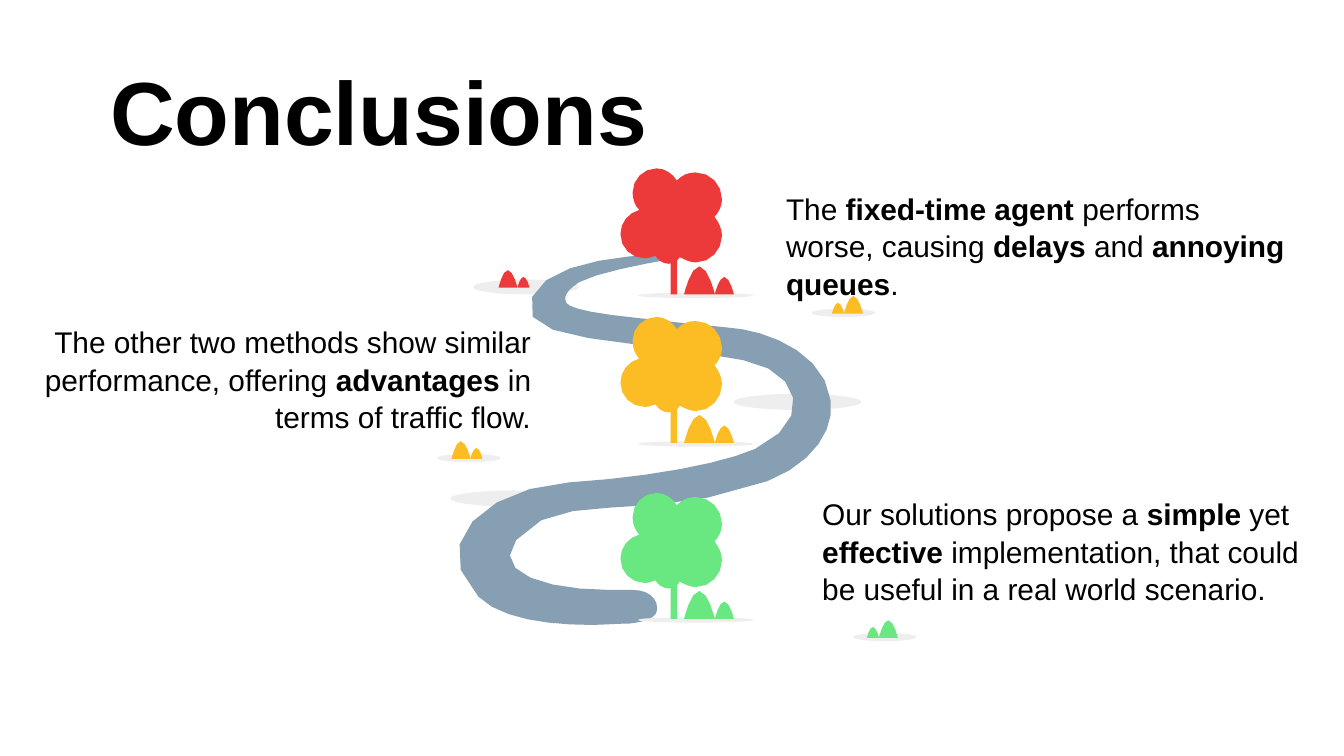
from pptx import Presentation
from pptx.dml.color import RGBColor
from pptx.enum import shapes, text
from pptx.util import Pt

COLORS = {"red": "EC3A3B", "amber": "FCBD24", "green": "69E781",
          "road": "869FB2", "shade": "EEEEEE", "ink": "000000"}

HILL = [(1, 1),
        (1, 1), (0.8, 0.04), (0.5, 0),
        (0.21, 0), (0, 1), (0, 1)]

CROWN = [(54.4, 16.6),
         (54.4, 8.6), (48.2, 2.2), (40.3, 2.2),
         (36, 2.2), (33.1, 3.6), (30.2, 6.5),
         (28.1, 2.9), (23.8, 0), (19.4, 0),
         (12.2, 0), (6.5, 5.8), (6.5, 13),
         (6.5, 16.6), (7.9, 20.2), (10.1, 22.3),
         (4.3, 23.8), (0, 28.8), (0, 35.3),
         (0, 42.5), (5.8, 48.2), (13, 48.2),
         (15.1, 48.2), (16.6, 47.5), (18.7, 46.8),
         (20.2, 49), (22.3, 51.1), (25.9, 51.1),
         (28.1, 51.1), (31, 49.7), (31.7, 47.5),
         (34.6, 49), (37.4, 50.4), (40.3, 50.4),
         (48.2, 50.4), (54.4, 43.9), (54.4, 36),
         (54.4, 32.4), (52.6, 28.8), (50.4, 25.9),
         (52.6, 23.8), (54.4, 20.2), (54.4, 16.6)]

ROAD = [(364.3, 136.1),
        (344.9, 136.1), (293.8, 138.2), (285.1, 159.1),
        (273.6, 185), (339.1, 180.7), (398.2, 193),
        (429.1, 198.7), (436.3, 225.4), (404.6, 240.5),
        (386.6, 248.4), (348.5, 255.6), (304.6, 258.5),
        (260.6, 261.4), (227.5, 290.9), (256.3, 319.7),
        (268.6, 331.9), (294.5, 334.8), (316.1, 334.8),
        (323.3, 334.8), (331.2, 334.1), (337, 334.1),
        (343.4, 333.4), (352.1, 331.9), (352.1, 326.2),
        (352.1, 319.7), (346.3, 316.1), (339.1, 316.1),
        (337, 316.1), (330, 316.1), (326.9, 316.1),
        (293.8, 316.1), (262.8, 307.4), (276.5, 289.4),
        (300.2, 260.6), (343.4, 282.2), (411.1, 257.8),
        (437, 247.7), (447.1, 229), (445, 214.6),
        (442.1, 190.8), (415.4, 179.3), (397.4, 176.4),
        (379.4, 174.2), (381.6, 175), (343.4, 170.6),
        (306.7, 167), (303.1, 163.4), (303.1, 161.3),
        (302.4, 159.8), (302.4, 156.2), (310.3, 151.2),
        (323.3, 144), (372.2, 136.8), (372.2, 136.8)]

prs = Presentation()
prs.slide_width, prs.slide_height = Pt(720), Pt(405)
slide = prs.slides.add_slide(prs.slide_layouts[5])


def paint(shape, color):
    shape.shadow.inherit = False
    shape.fill.solid()
    shape.fill.fore_color.rgb = RGBColor.from_string(COLORS[color])
    shape.line.fill.background()


def outline(curve, color, left=0, top=0, width=1, height=1, steps=4):
    spots = [(100 * (left + x * width), 100 * (top + y * height)) for x, y in curve]
    track = []
    for i in range(0, len(spots) - 1, 3):
        for step in range(1, steps + 1):
            t = step / steps
            weights = ((1 - t) ** 3, 3 * t * (1 - t) ** 2, 3 * t * t * (1 - t), t ** 3)
            track.append(tuple(sum(w * spot[axis] for w, spot in zip(weights, spots[i:i + 4]))
                               for axis in (0, 1)))
    builder = slide.shapes.build_freeform(*spots[0], scale=Pt(1) / 100)
    builder.add_line_segments(track, close=True)
    paint(builder.convert_to_shape(), color)


OVAL = shapes.MSO_SHAPE.OVAL
for left, top in [(393.1, 211), (241.2, 262.8)]:
    paint(slide.shapes.add_shape(OVAL, Pt(left), Pt(top), Pt(68.4), Pt(8.6)), "shade")

bushes = [("red", 253.4, 149.8, 56.9, 7.9, 267.1, 277.2),
          ("amber", 234.2, 243.2, 34, 4.4, 241.9, 252),
          ("amber", 434.9, 165.4, 34, 4.4, 452.2, 445.7),
          ("green", 457, 339.1, 34, 4.4, 470.9, 464.4)]
for color, left, top, width, height, big, small in bushes:
    base = top + height / 2 + 0.4
    paint(slide.shapes.add_shape(OVAL, Pt(left), Pt(top), Pt(width), Pt(height)), "shade")
    outline(HILL, color, big, base - 9.4, 10.1, 9.4)
    outline(HILL, color, small, base - 5.8, 6.5, 5.8)

outline(ROAD, "road", steps=6)

conclusions = [
    ("red", 90.2, (414, 94.3, 286.6, 46.1), text.PP_ALIGN.LEFT,
     ["The ", "fixed-time agent ", "performs worse, causing ", "delays", " and ",
      "annoying queues", "."]),
    ("amber", 169.8, (4.3, 165.6, 287.3, 56.2), text.PP_ALIGN.RIGHT,
     ["The other two methods show similar performance, offering ", "advantages",
      " in terms of traffic flow."]),
    ("green", 264.1, (433.4, 257.8, 280.1, 56.2), text.PP_ALIGN.LEFT,
     ["Our solutions propose a ", "simple ", "yet ", "effective ",
      "implementation, that could be useful in a real world scenario."]),
]
for color, tree_top, place, align, pieces in conclusions:
    paint(slide.shapes.add_shape(OVAL, Pt(341.6), Pt(tree_top + 66.6), Pt(62), Pt(2.9)), "shade")
    outline(HILL, color, 366.5, tree_top + 52.5, 16.5, 15)
    outline(HILL, color, 383, tree_top + 58.2, 10.2, 9.3)
    paint(slide.shapes.add_shape(shapes.MSO_SHAPE.RECTANGLE, Pt(359.3), Pt(tree_top + 44.5),
                                 Pt(3.5), Pt(23)), color)
    outline(CROWN, color, 332.4, tree_top)

    frame = slide.shapes.add_textbox(*map(Pt, place)).text_frame
    frame.word_wrap = True
    frame.margin_left = frame.margin_right = frame.margin_top = frame.margin_bottom = Pt(7.2)
    message = frame.paragraphs[0]
    message.alignment = align
    message.line_spacing = 1.04
    message.font.size = Pt(16)
    message.font.name = "Arial"
    message.font.color.rgb = RGBColor.from_string(COLORS["ink"])
    for i, piece in enumerate(pieces):
        run = message.add_run()
        run.text = piece
        run.font.bold = i % 2 == 1

title = slide.shapes.title
title.left, title.top, title.width, title.height = Pt(51.8), Pt(32.4), Pt(608.4), Pt(52.6)
frame = title.text_frame
frame.text = "Conclusions"
frame.word_wrap = True
frame.auto_size = text.MSO_AUTO_SIZE.NONE
frame.vertical_anchor = text.MSO_ANCHOR.MIDDLE
frame.margin_left = frame.margin_right = frame.margin_top = frame.margin_bottom = Pt(7.2)
heading = frame.paragraphs[0]
heading.alignment = text.PP_ALIGN.LEFT
heading.font.size = Pt(48)
heading.font.name = "Arial"
heading.font.bold = True
heading.font.color.rgb = RGBColor.from_string(COLORS["ink"])

prs.save("out.pptx")
